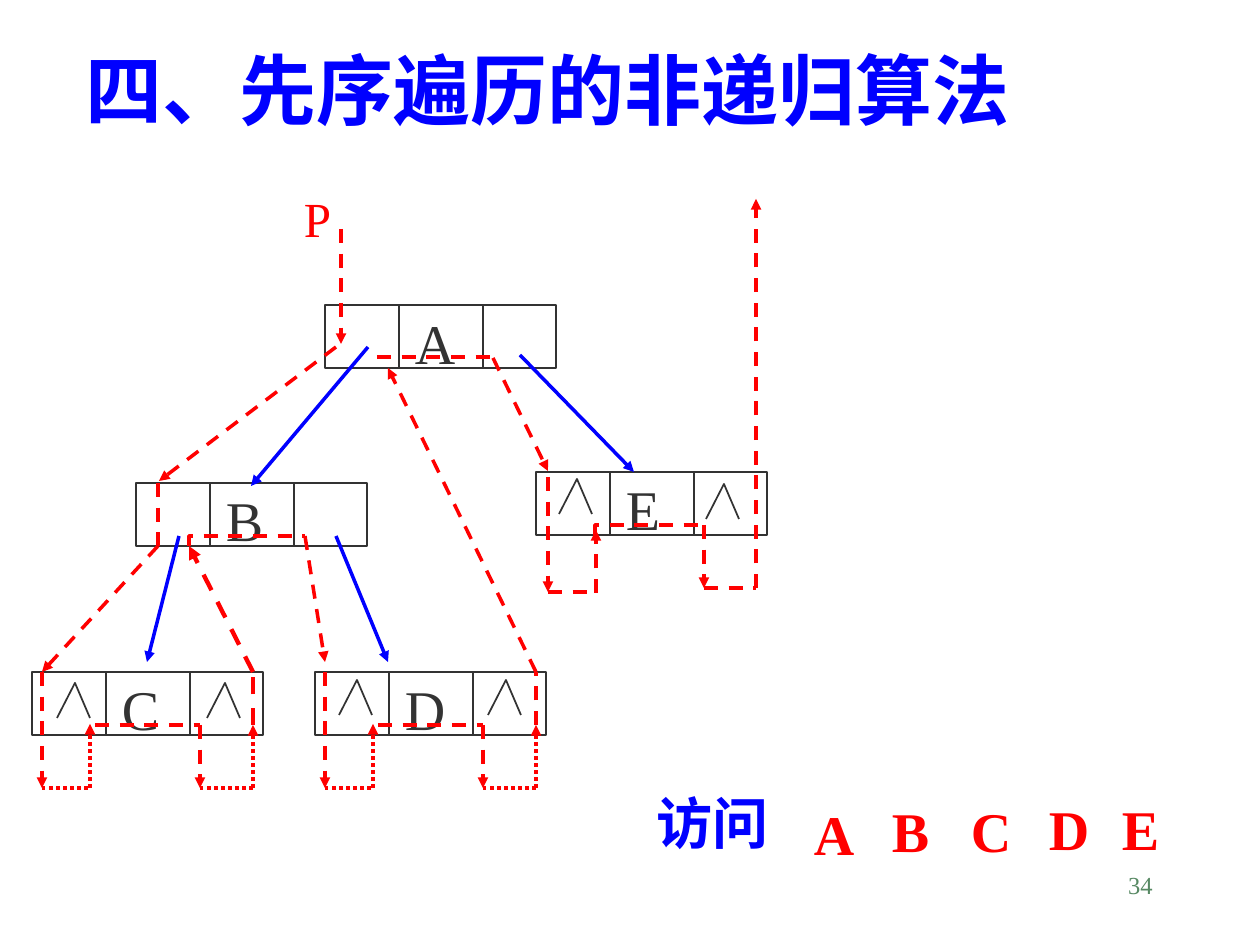
from dataclasses import dataclass

import lxml.etree
import pptx
import pptx.dml.color
import pptx.enum.dml
import pptx.enum.shapes
import pptx.enum.text
import pptx.oxml.ns
import pptx.util

PX = 914400 / 126


@dataclass(frozen=True)
class Theme:
    font: str = "Times New Roman"
    ink: str = "333333"
    blue: str = "0000FF"
    red: str = "FF0000"
    green: str = "578963"
    title: int = 44
    label: int = 32
    pointer: int = 28
    number: int = 14
    thin: float = 1
    line: float = 2
    bold_line: float = 2.5


THEME = Theme()
DASH = pptx.enum.dml.MSO_LINE.DASH
DOT = pptx.enum.dml.MSO_LINE.ROUND_DOT
NODE_WIDTH, NODE_HEIGHT = 231, 63
DIVIDERS = (74, 158)


def emu(px):
    return pptx.util.Emu(round(px * PX))


def rgb(color):
    return pptx.dml.color.RGBColor.from_string(color)


def add_text(page, box, text, size, color, bold=False, align="LEFT", wrap=True, inset=13, drop=True):
    label = page.shapes.add_textbox(*map(emu, box))
    frame = label.text_frame
    frame.word_wrap = wrap
    frame.margin_left = emu(inset)
    frame.margin_top = emu(6 + (round(size * 0.22) if drop else 0))
    frame.text = text
    para = frame.paragraphs[0]
    para.alignment = getattr(pptx.enum.text.PP_ALIGN, align)
    font = para.runs[0].font
    font.name, font.size, font.bold = THEME.font, pptx.util.Pt(size), bold
    font.color.rgb = rgb(color)


def style_line(shape, color, width, dash=None, arrow=False):
    line = shape.line
    line.color.rgb = rgb(color)
    line.width = pptx.util.Pt(width)
    if dash:
        line.dash_style = dash
    if arrow:
        tail = lxml.etree.SubElement(line._get_or_add_ln(), pptx.oxml.ns.qn("a:tailEnd"))
        tail.set("type", "triangle")


def add_line(page, origin, points, color, width, dash=None, arrow=False):
    placed = [(origin[0] + x, origin[1] + y) for x, y in points]
    if len(placed) == 2:
        straight = pptx.enum.shapes.MSO_CONNECTOR.STRAIGHT
        shape = page.shapes.add_connector(straight, *map(emu, placed[0] + placed[1]))
        lxml.etree.SubElement(shape._element.spPr, pptx.oxml.ns.qn("a:effectLst"))
    else:
        builder = page.shapes.build_freeform(*placed[0], scale=PX)
        builder.add_line_segments(placed[1:], close=False)
        shape = builder.convert_to_shape()
        shape.fill.background()
        shape.shadow.inherit = False
    style_line(shape, color, width, dash, arrow)


def add_node(page, origin, name):
    left, top = origin
    add_text(page, (left + 63, top - 10, 116, 79), name, THEME.label, THEME.ink, inset=27)
    rectangle = pptx.enum.shapes.MSO_SHAPE.RECTANGLE
    frame = page.shapes.add_shape(rectangle, *map(emu, (left, top, NODE_WIDTH, NODE_HEIGHT)))
    frame.fill.background()
    frame.shadow.inherit = False
    style_line(frame, THEME.ink, THEME.thin)
    for x in DIVIDERS:
        add_line(page, origin, [(x, 0), (x, NODE_HEIGHT)], THEME.ink, THEME.thin)


def add_leaf_trace(page, origin, width):
    steps = [
        ([(10, 0), (10, 116)], DASH, True, THEME.line),
        ([(10, 116), (58, 116)], DOT, False, THEME.line),
        ([(58, 116), (58, 52)], DOT, True, THEME.line),
        ([(63, 53), (168, 53)], DASH, False, THEME.line),
        ([(168, 53), (168, 116)], DASH, True, THEME.line),
        ([(168, 116), (221, 116)], DOT, False, THEME.line),
        ([(221, 116), (221, 53)], DOT, True, THEME.line),
        ([(221, 53), (221, 0)], DASH, False, width),
    ]
    for points, dash, arrow, weight in steps:
        add_line(page, origin, points, THEME.red, weight, dash, arrow)


def add_last_leaf_trace(page, origin):
    steps = [
        ([(12, 5), (12, 120)], True),
        ([(12, 120), (60, 120)], False),
        ([(60, 121), (60, 58)], True),
        ([(59, 63), (59, 53), (168, 53)], False),
        ([(168, 53), (168, 116)], True),
        ([(168, 116), (220, 116)], False),
        ([(220, 116), (220, -273)], True),
    ]
    for points, arrow in steps:
        add_line(page, origin, points, THEME.red, THEME.line, DASH, arrow)


def add_tree(page, box):
    left, top = box[:2]
    offsets = {"A": (293, 129), "B": (104, 307), "C": (0, 496), "D": (283, 496), "E": (504, 296)}
    nodes = {name: (left + x, top + y) for name, (x, y) in offsets.items()}
    for name, origin in nodes.items():
        add_node(page, origin, name)

    links = [
        [(336, 171), (219, 310)],
        [(147, 360), (115, 486)],
        [(304, 360), (356, 486)],
        [(488, 179), (602, 296)],
    ]
    for points in links:
        add_line(page, (left, top), points, THEME.blue, THEME.line, arrow=True)

    steps = [
        ([(309, 53), (309, 168)], True, THEME.line),
        ([(304, 171), (127, 305)], True, THEME.line),
        ([(126, 307), (126, 370)], False, THEME.line),
        ([(126, 370), (10, 496)], True, THEME.line),
        ([(221, 496), (157, 370)], True, THEME.bold_line),
        ([(157, 370), (157, 360), (273, 360)], False, THEME.line),
        ([(273, 360), (293, 486)], True, THEME.line),
        ([(504, 496), (356, 192)], True, THEME.line),
        ([(345, 181), (463, 181)], False, THEME.line),
        ([(461, 182), (516, 295)], True, THEME.line),
    ]
    for points, arrow, width in steps:
        add_line(page, (left, top), points, THEME.red, width, DASH, arrow)
    add_leaf_trace(page, nodes["C"], THEME.bold_line)
    add_leaf_trace(page, nodes["D"], THEME.line)
    add_last_leaf_trace(page, nodes["E"])

    add_text(page, (left + 259, top, 76, 72), "P", THEME.pointer, THEME.red)
    null_marks = {"C": [(25, 11), (175, 11)], "D": [(24, 8), (173, 8)], "E": [(23, 7), (170, 12)]}
    for name, marks in null_marks.items():
        for x, y in marks:
            points = [(x, y + 35), (x + 18, y), (x + 33, y + 35)]
            add_line(page, nodes[name], points, THEME.ink, THEME.thin)


def add_visits(page, box):
    left, top, width, height = box
    add_text(page, (left, top, 165, height), "访问", THEME.label, THEME.blue, bold=True)
    places = {"A": (157, 10), "B": (235, 8), "C": (314, 8), "D": (392, 5), "E": (465, 5)}
    for name, (x, y) in places.items():
        add_text(page, (left + x, top + y, 123, height), name, THEME.label, THEME.red, bold=True)


def add_title(page, box):
    add_text(page, box, "四、先序遍历的非递归算法", THEME.title, THEME.blue,
             bold=True, wrap=False, drop=False)


def add_page_number(page, box):
    add_text(page, box, "34", THEME.number, THEME.green, align="RIGHT")


def main():
    deck = pptx.Presentation()
    deck.slide_width, deck.slide_height = emu(1260), emu(945)
    page = deck.slides.add_slide(deck.slide_layouts[6])
    add_page_number(page, (903, 861, 262, 63))
    add_title(page, (73, 37, 971, 105))
    add_tree(page, (32, 176, 735, 612))
    add_visits(page, (644, 776, 588, 79))
    deck.save("out.pptx")


if __name__ == "__main__":
    main()
